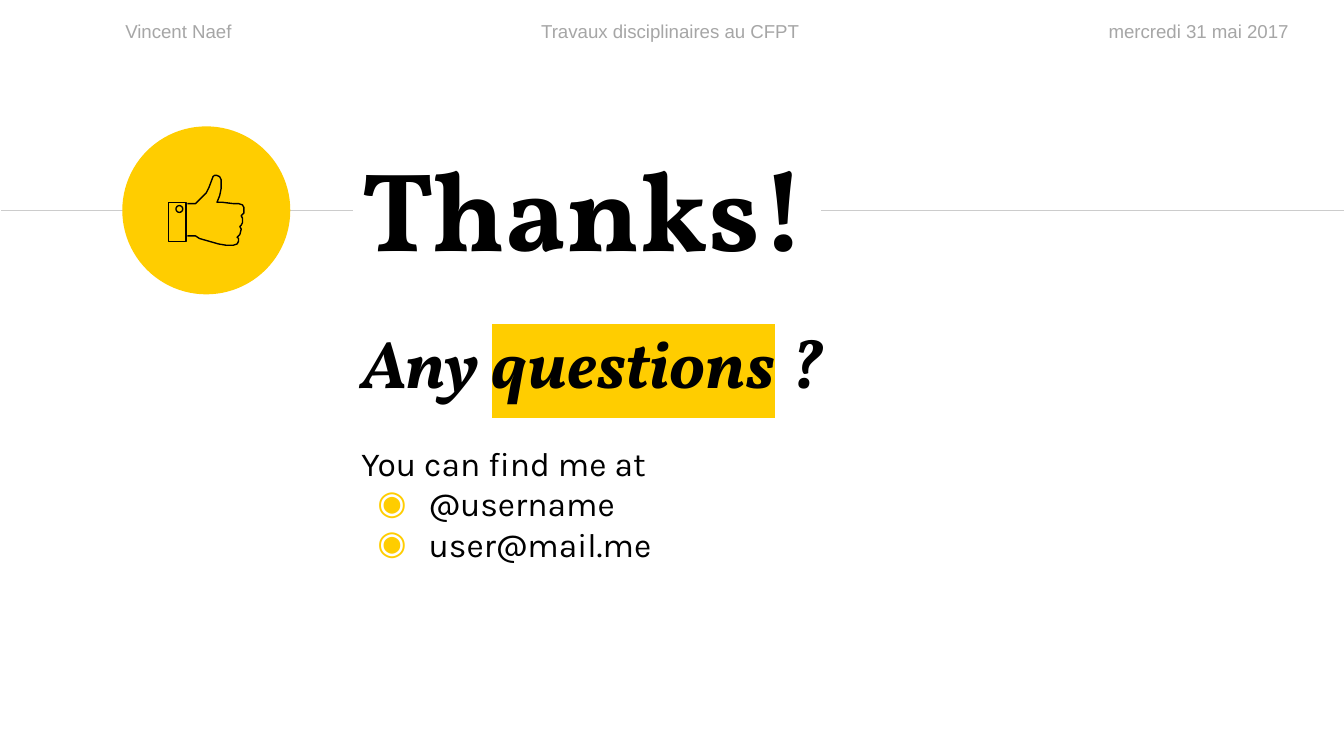
from math import cos, pi, sin

from lxml.etree import SubElement
from pptx import Presentation
from pptx.dml.color import RGBColor
from pptx.enum.shapes import MSO_CONNECTOR, MSO_SHAPE
from pptx.enum.text import MSO_ANCHOR, MSO_AUTO_SIZE, PP_ALIGN
from pptx.oxml.ns import qn
from pptx.util import Inches, Pt

YELLOW, BLACK, GREY, RULE = "FFCD00", "000000", "A6A6A6", "CCCCCC"
HEADER = {"name": "Arial", "size": Pt(10), "bold": False}
TITLE = {"name": "Vollkorn", "size": Pt(60), "bold": True}
QUESTION = {"name": "Vollkorn", "size": Pt(36), "bold": True, "italic": True}
CONTACT = {"name": "Karla", "size": Pt(18), "bold": False, "italic": False}

# Outline of the thumb and fingers, in inches from the centre of the badge
HAND = [
    (-.14, .19), (-.08, .19), (-.05, .21), (.02, .23), (.09, .25), (.15, .26),
    (.2, .26), (.23, .25), (.24, .23), (.24, .21), (.23, .2), (.25, .18),
    (.26, .14), (.25, .12), (.26, .11), (.27, .09), (.27, .06), (.26, .04),
    (.27, .03), (.28, .02), (.28, -.02), (.27, -.04), (.24, -.05), (.2, -.05),
    (.12, -.06), (.08, -.06), (.1, -.11), (.11, -.16), (.11, -.23),
    (.1, -.25), (.08, -.26), (.06, -.26), (.05, -.25), (.02, -.17),
    (0, -.13), (-.02, -.11), (-.08, -.05), (-.14, -.05),
]


def rgb(value):
    return RGBColor.from_string(value)


def style(font, look, color):
    for name, value in look.items():
        setattr(font, name, value)
    font.color.rgb = rgb(color)


def add_span(para, text, look, color=BLACK, highlight=None):
    span = para.add_run()
    span.text = text
    style(span.font, look, color)
    if highlight:
        props = span.font._element
        mark = SubElement(props, qn("a:highlight"))
        SubElement(mark, qn("a:srgbClr"), val=highlight)
        props.find(qn("a:solidFill")).addnext(mark)


def set_frame(frame, inset_y, anchor=MSO_ANCHOR.TOP):
    frame.word_wrap = True
    frame.auto_size = MSO_AUTO_SIZE.NONE
    frame.vertical_anchor = anchor
    frame.margin_left = frame.margin_right = Inches(0.1)
    frame.margin_top = frame.margin_bottom = Inches(inset_y)


def add_text_box(page, left, top, width, height, inset_y=0.1):
    box = page.shapes.add_textbox(*map(Inches, (left, top, width, height)))
    set_frame(box.text_frame, inset_y)
    return box.text_frame


def add_bullet(para):
    props = para._p.get_or_add_pPr()
    props.set("marL", str(Inches(0.5)))
    props.set("indent", str(Inches(-0.38)))
    color = SubElement(props, qn("a:buClr"))
    SubElement(color, qn("a:srgbClr"), val=YELLOW)
    SubElement(props, qn("a:buFont"), typeface=CONTACT["name"])
    SubElement(props, qn("a:buChar"), char="◉")


def add_header(page, left, top, width, height):
    side = 1.85
    middle = width - 2 * side
    columns = [
        ("Vincent Naef", side, PP_ALIGN.RIGHT),
        ("Travaux disciplinaires au CFPT", middle, PP_ALIGN.CENTER),
        ("mercredi 31 mai 2017", side, PP_ALIGN.LEFT),
    ]
    for text, column, align in columns:
        para = add_text_box(page, left, top, column, height, 0.05).paragraphs[0]
        para.alignment = align
        add_span(para, text, HEADER, GREY)
        left += column


def add_rule(page, start, end, y):
    rule = page.shapes.add_connector(
        MSO_CONNECTOR.STRAIGHT, *map(Inches, (start, y, end, y)))
    rule.line.color.rgb = rgb(RULE)
    rule.line.width = Pt(0.75)
    SubElement(rule._element.spPr, qn("a:effectLst"))


def add_title(page, left, top, width, height):
    title = page.shapes.title
    title.left, title.top, title.width, title.height = map(
        Inches, (left, top, width, height))
    set_frame(title.text_frame, 0.1, MSO_ANCHOR.MIDDLE)
    para = title.text_frame.paragraphs[0]
    para.alignment = PP_ALIGN.LEFT
    add_span(para, "Thanks!", TITLE)


def add_message(page, left, top, width, height):
    frame = add_text_box(page, left, top, width, height)
    question = frame.paragraphs[0]
    add_span(question, "Any ", QUESTION)
    add_span(question, "questions", QUESTION, highlight=YELLOW)
    add_span(question, " ?", QUESTION)

    intro = frame.add_paragraph()
    intro.space_before = Pt(22)
    add_span(intro, "You can find me at", CONTACT)
    for address in ("@username", "user@mail.me"):
        para = frame.add_paragraph()
        add_bullet(para)
        add_span(para, address, CONTACT)


def add_outline(page, center_x, center_y, *contours):
    paths = [[(Inches(center_x + x), Inches(center_y + y)) for x, y in contour]
             for contour in contours]
    builder = page.shapes.build_freeform(*paths[0][0])
    for index, path in enumerate(paths):
        if index:
            builder.move_to(*path[0])
        builder.add_line_segments(path[1:], close=path[0] == path[-1])
    outline = builder.convert_to_shape()
    outline.shadow.inherit = False
    outline.fill.background()
    outline.line.color.rgb = rgb(BLACK)
    outline.line.width = Pt(0.75)


def add_badge(page, left, top, size):
    disc = page.shapes.add_shape(
        MSO_SHAPE.OVAL, *map(Inches, (left, top, size, size)))
    disc.shadow.inherit = False
    disc.fill.solid()
    disc.fill.fore_color.rgb = rgb(YELLOW)
    disc.line.fill.background()

    # Thumb up: cuff with a round button, then the hand
    center = left + size / 2, top + size / 2
    cuff = [(-.28, -.06), (-.28, .23), (-.15, .23), (-.15, -.06), (-.28, -.06)]
    turns = [2 * pi * (step % 24) / 24 for step in range(25)]
    button = [(-.2 + .025 * cos(turn), -.01 + .025 * sin(turn)) for turn in turns]
    add_outline(page, *center, cuff, button)
    add_outline(page, *center, HAND)


def main():
    deck = Presentation()
    # Widescreen, 16 to 9
    deck.slide_width = Inches(10)
    deck.slide_height = deck.slide_width * 9 // 16
    page = deck.slides.add_slide(deck.slide_layouts[5])

    add_header(page, -0.03, 0.1, 10.03, 0.27)
    add_message(page, 2.59, 2.29, 5.49, 0.86)
    add_title(page, 2.59, 0.9, 5.37, 1.27)
    # Rule on both sides of the title, level with the middle of the badge
    badge_top, badge_size = 0.94, 1.25
    for start, end in ((0.01, 2.63), (6.11, 10)):
        add_rule(page, start, end, badge_top + badge_size / 2)
    add_badge(page, 0.91, badge_top, badge_size)
    deck.save("out.pptx")


if __name__ == "__main__":
    main()
